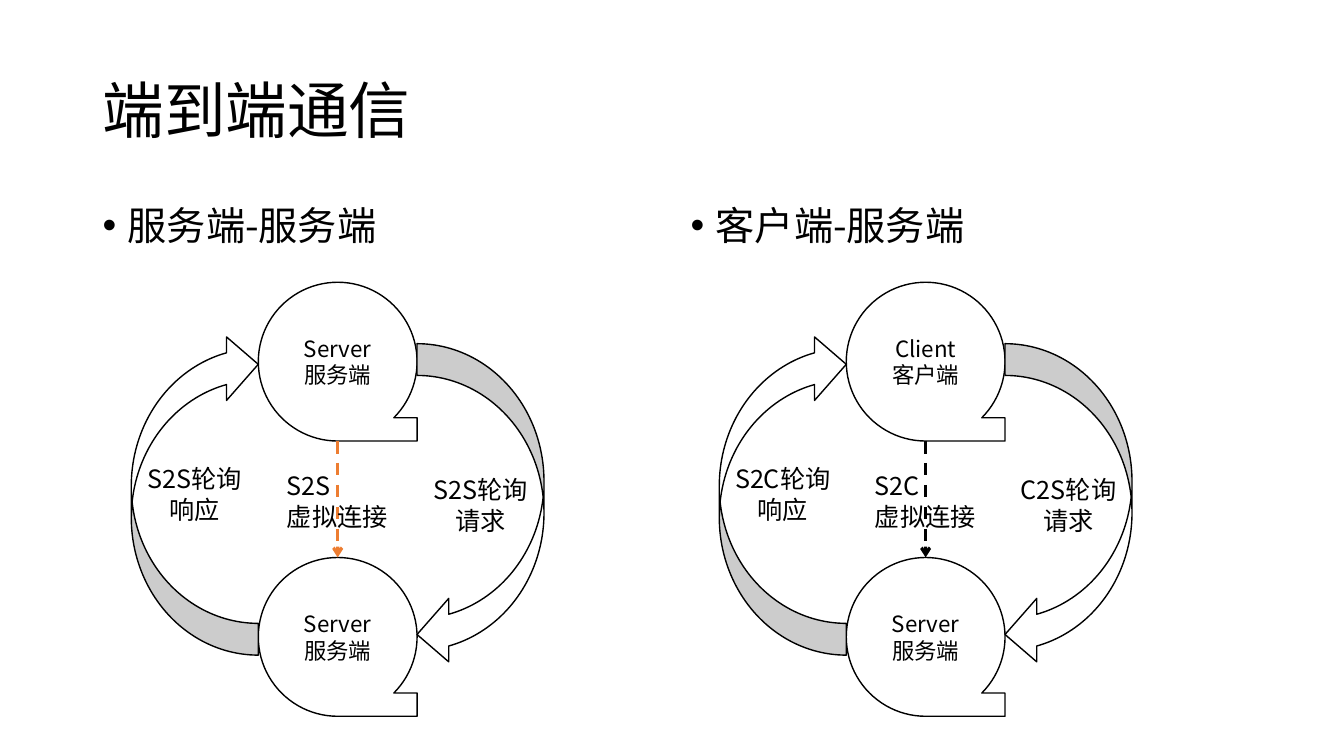
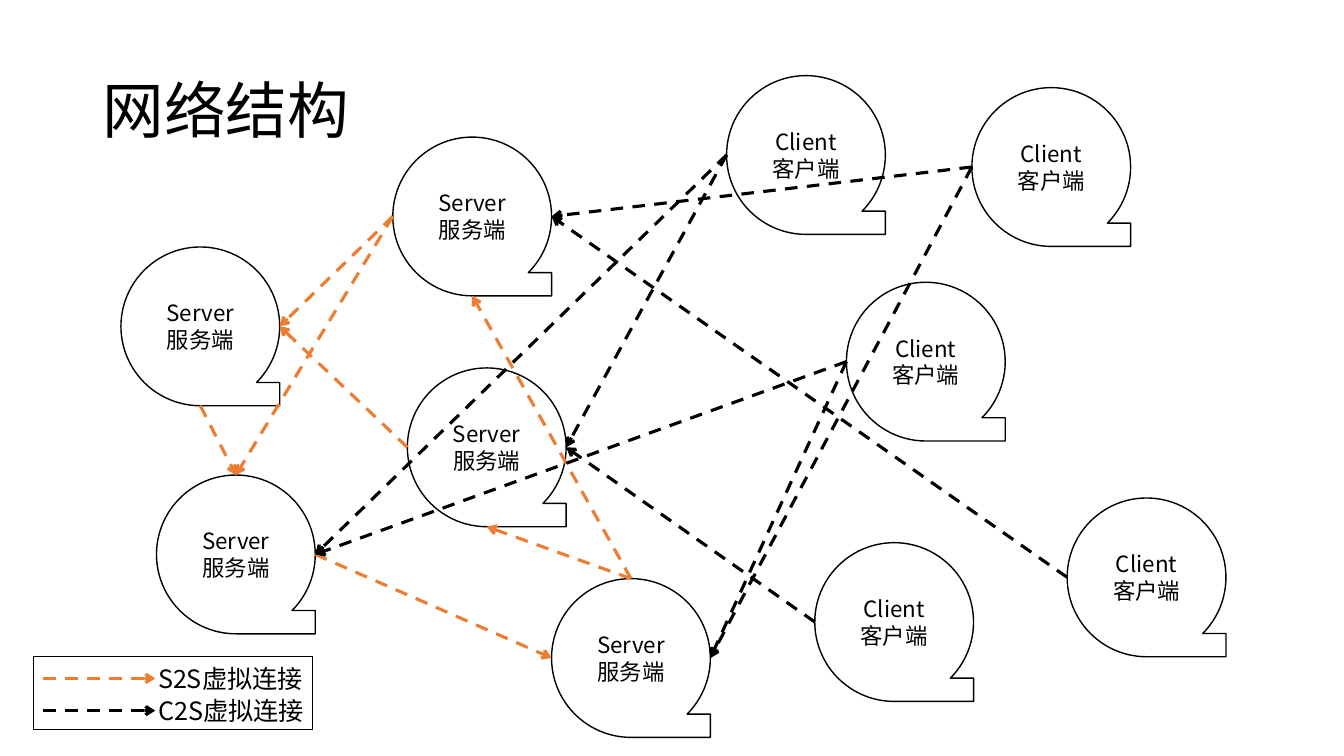
"""Build two slides on end-to-end messaging and the network layout."""
from dataclasses import dataclass
from typing import Any, NamedTuple

from lxml import etree
from pptx import Presentation, util as u
from pptx.dml.color import RGBColor
from pptx.enum import dml, shapes, text
from pptx.oxml.ns import qn
from pptx.slide import Slide

Pt = u.Pt
Kind = shapes.MSO_SHAPE
Align = text.PP_ALIGN
Anchor = text.MSO_ANCHOR


@dataclass(frozen=True)
class Theme:
    font: str = "Noto Sans CJK SC"
    ink: RGBColor = RGBColor(0, 0, 0)
    paper: RGBColor = RGBColor(255, 255, 255)
    peer: RGBColor = RGBColor(0xED, 0x7D, 0x31)
    title: int = 44
    body: int = 28
    label: int = 18
    node: int = 16
    thin: float = 0.75
    edge: float = 1
    link: float = 2.25


class Box(NamedTuple):
    x: float
    y: float
    w: float
    h: float


class Panel(NamedTuple):
    x: float
    head: str
    top: str
    ask: str
    reply: str
    link: str
    color: RGBColor


class Node(NamedTuple):
    x: float
    y: float
    text: str


class Link(NamedTuple):
    start: str
    out: int
    end: str
    into: int
    color: RGBColor


THEME = Theme()
SERVER = "Server\n服务端"
CLIENT = "Client\n客户端"
TAPE = 113.4
TOP, LEFT, BOTTOM, RIGHT = range(4)
INK, PEER = THEME.ink, THEME.peer

PANELS = [
    Panel(66.2, "服务端-服务端", SERVER, "S2S轮询请求", "S2S轮询\n响应", "S2S\n虚拟连接", PEER),
    Panel(486.2, "客户端-服务端", CLIENT, "C2S轮询请求", "S2C轮询\n响应", "S2C\n虚拟连接", INK),
]

NODES = {
    "west": Node(86.4, 176.4, SERVER),
    "low": Node(111.8, 339.3, SERVER),
    "north": Node(280.6, 97.9, SERVER),
    "mid": Node(291, 262.8, SERVER),
    "south": Node(394, 413.3, SERVER),
    "near": Node(604.6, 201.6, CLIENT),
    "high": Node(519, 54, CLIENT),
    "east": Node(694.2, 62.6, CLIENT),
    "far": Node(762.3, 355.7, CLIENT),
    "base": Node(582, 387.6, CLIENT),
}

LINKS = [
    Link("west", BOTTOM, "low", TOP, PEER),
    Link("north", LEFT, "west", RIGHT, PEER),
    Link("mid", LEFT, "west", RIGHT, PEER),
    Link("north", LEFT, "low", TOP, PEER),
    Link("south", TOP, "mid", BOTTOM, PEER),
    Link("south", TOP, "north", BOTTOM, PEER),
    Link("low", RIGHT, "south", LEFT, PEER),
    Link("high", LEFT, "low", RIGHT, INK),
    Link("high", LEFT, "mid", RIGHT, INK),
    Link("base", LEFT, "mid", RIGHT, INK),
    Link("near", LEFT, "south", RIGHT, INK),
    Link("east", LEFT, "north", RIGHT, INK),
    Link("near", LEFT, "low", RIGHT, INK),
    Link("far", LEFT, "north", RIGHT, INK),
    Link("east", LEFT, "south", RIGHT, INK),
]


def write(shape: Any, words: str, size: int, align: Align, anchor: Anchor) -> None:
    frame = shape.text_frame
    frame.text = words
    frame.word_wrap = True
    frame.vertical_anchor = anchor
    for para in frame.paragraphs:
        para.alignment = align
        for run in para.runs:
            run.font.size = Pt(size)
            run.font.name = THEME.font
            run.font.color.rgb = THEME.ink
    for props in shape.element.iter(qn("a:rPr")):
        etree.SubElement(props, qn("a:ea"), typeface=THEME.font)


def note(slide: Slide, box: Box, words: str, size: int = THEME.label,
         anchor: Anchor = Anchor.TOP) -> Any:
    area = slide.shapes.add_textbox(*map(Pt, box))
    write(area, words, size, Align.LEFT, anchor)
    return area


def title(slide: Slide, words: str) -> None:
    area = note(slide, Box(66.2, 28.8, 828, 104.4), words, THEME.title, Anchor.MIDDLE)
    area.text_frame.paragraphs[0].line_spacing = 0.9


def bullet(slide: Slide, x: float, words: str) -> None:
    area = note(slide, Box(x, 144, 408, 342.7), words, THEME.body)
    para = area.text_frame.paragraphs[0]
    para.line_spacing = 0.9
    para.space_before = Pt(10)
    props = area.element.find(".//" + qn("a:pPr"))
    props.set("marL", str(Pt(18)))
    props.set("indent", str(Pt(-18)))
    etree.SubElement(props, qn("a:buFont"), typeface="Arial")
    etree.SubElement(props, qn("a:buChar"), char="•")


def block(slide: Slide, kind: Kind, box: Box, words: str, size: int) -> Any:
    shape = slide.shapes.add_shape(kind, *map(Pt, box))
    shape.shadow.inherit = False
    shape.fill.solid()
    shape.fill.fore_color.rgb = THEME.paper
    shape.line.color.rgb = THEME.ink
    shape.line.width = Pt(THEME.edge)
    write(shape, words, size, Align.CENTER, Anchor.MIDDLE)
    return shape


def tape(slide: Slide, node: Node) -> Any:
    box = Box(node.x, node.y, TAPE, TAPE)
    return block(slide, Kind.FLOWCHART_SEQUENTIAL_ACCESS_STORAGE, box, node.text, THEME.node)


def arrow(slide: Slide, color: RGBColor, x: float = 0, y: float = 0, w: float = 0) -> Any:
    line = slide.shapes.add_connector(
        shapes.MSO_CONNECTOR.STRAIGHT, Pt(x), Pt(y), Pt(x + w), Pt(y))
    line.line.color.rgb = color
    line.line.width = Pt(THEME.link)
    line.line.dash_style = dml.MSO_LINE.DASH
    props = line.element.spPr
    etree.SubElement(props.find(qn("a:ln")), qn("a:tailEnd"), type="arrow")
    etree.SubElement(props, qn("a:effectLst"))
    return line


def join(slide: Slide, start: Any, out: int, end: Any, into: int, color: RGBColor) -> None:
    line = arrow(slide, color)
    line.begin_connect(start, out)
    line.end_connect(end, into)


def loop(slide: Slide, panel: Panel) -> None:
    left = panel.x + 118.3
    wide, tall = 90.7, 230.4
    upper = tape(slide, Node(left, 201.6, panel.top))
    lower = tape(slide, Node(left, 398.2, SERVER))
    ask = Box(left + TAPE, 245.5, wide, tall)
    block(slide, Kind.CURVED_LEFT_ARROW, ask, panel.ask, THEME.label)
    reply = Box(left - (wide + tall) / 2, 307.4, tall, wide)
    back = block(slide, Kind.CURVED_DOWN_ARROW, reply, panel.reply, THEME.label)
    back.rotation = 270
    back.element.txBody.bodyPr.set("vert", "vert")
    join(slide, upper, BOTTOM, lower, TOP, panel.color)
    label = note(slide, Box(left + 13.4, 332.6, 87.1, 51.1), panel.link)
    label.text_frame.word_wrap = False


def legend(slide: Slide) -> None:
    rows = [("S2S虚拟连接", PEER), ("C2S虚拟连接", INK)]
    for row, (words, color) in enumerate(rows):
        y = 484.6 + row * 23
        arrow(slide, color, 31, y, 79.9)
        note(slide, Box(105.8, y - 14.6, 130.3, 28.8), words)
    frame = slide.shapes.add_shape(Kind.RECTANGLE, *map(Pt, Box(23.8, 468.7, 199.4, 52.6)))
    frame.shadow.inherit = False
    frame.fill.background()
    frame.line.color.rgb = THEME.ink
    frame.line.width = Pt(THEME.thin)


def main() -> None:
    deck = Presentation()
    deck.slide_width, deck.slide_height = Pt(960), Pt(540)
    blank = deck.slide_layouts[6]

    talk = deck.slides.add_slide(blank)
    title(talk, "端到端通信")
    for panel in PANELS:
        bullet(talk, panel.x, panel.head)
    for panel in PANELS:
        loop(talk, panel)

    net = deck.slides.add_slide(blank)
    title(net, "网络结构")
    tapes = {name: tape(net, node) for name, node in NODES.items()}
    for link in LINKS:
        join(net, tapes[link.start], link.out, tapes[link.end], link.into, link.color)
    legend(net)

    deck.save("out.pptx")


if __name__ == "__main__":
    main()
